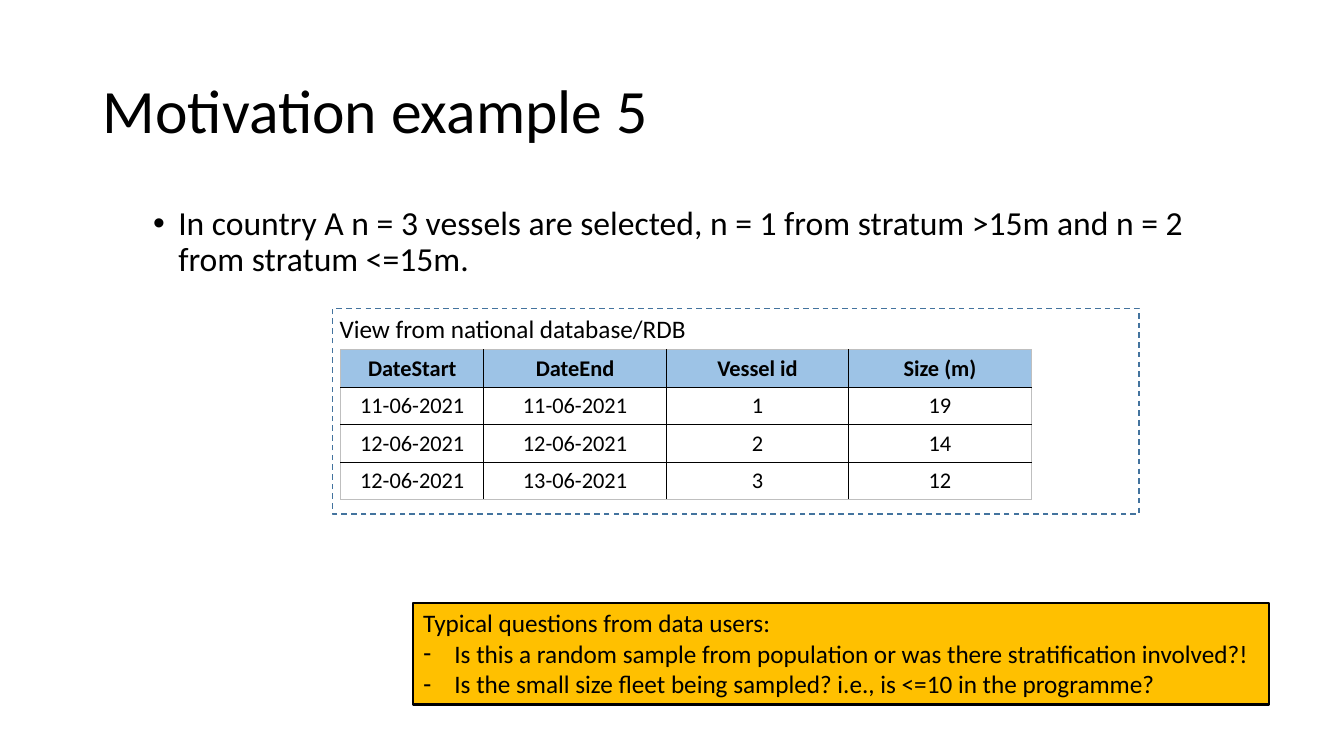
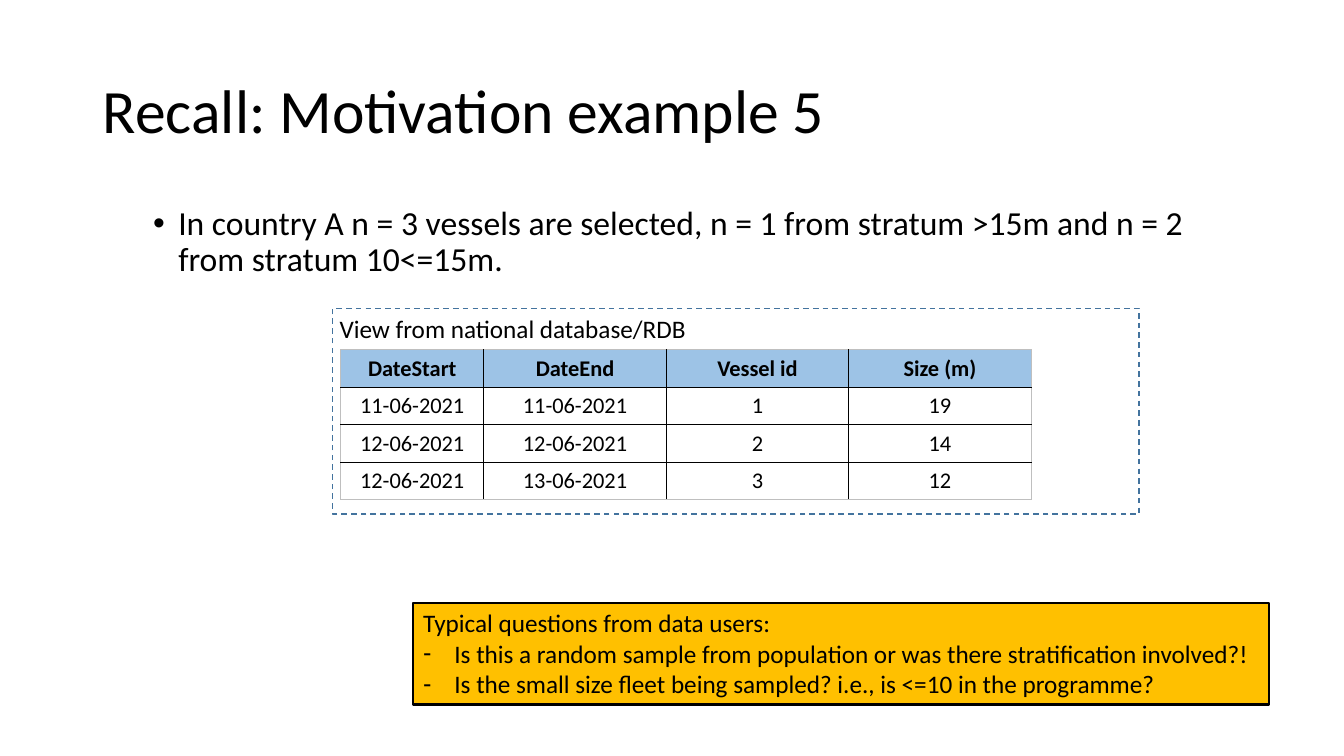
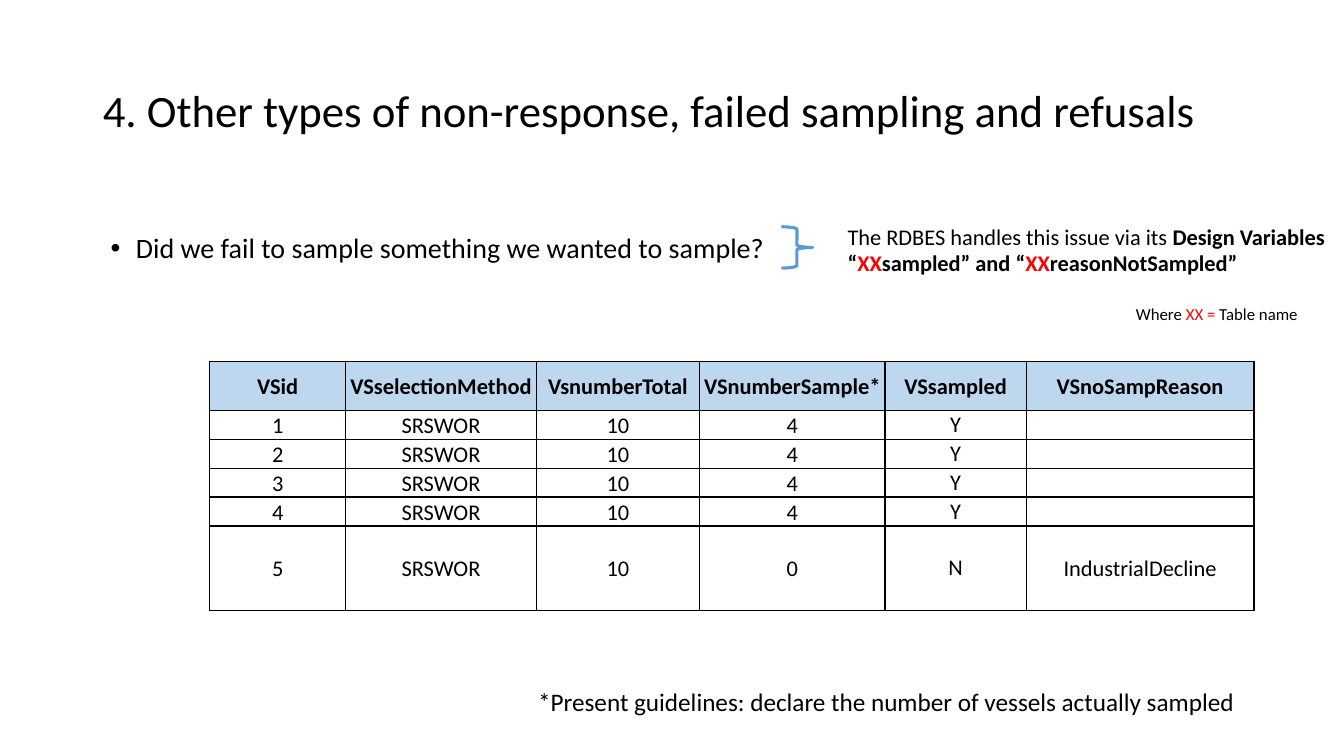
from dataclasses import dataclass

from lxml.etree import SubElement
from pptx import Presentation
from pptx.dml.color import RGBColor
from pptx.enum.dml import MSO_LINE
from pptx.enum.shapes import MSO_SHAPE
from pptx.enum.text import MSO_ANCHOR, PP_ALIGN
from pptx.oxml.ns import qn
from pptx.util import Inches, Pt

SLIDE_WIDTH, SLIDE_HEIGHT = Inches(13.33), Inches(7.5)
FONT = "Calibri"
BLACK, RED, GREY = "000000", "FF0000", "BFBFBF"
AMBER, BRACE_BLUE, FRAME_BLUE = "FFC000", "5B9BD5", "43739E"


@dataclass(frozen=True)
class Box:
    """A place on the slide, in percent of the slide's width and height."""
    left: float
    top: float
    width: float
    height: float

    def emu(self) -> tuple:
        return across(self.left), down(self.top), across(self.width), down(self.height)


@dataclass(frozen=True)
class Piece:
    text: str
    color: str = BLACK
    bold: bool = False


@dataclass(frozen=True)
class Line:
    pieces: tuple[Piece, ...]
    size: float
    bullet: str = ""
    indent: float = 0
    hang: float = 0
    spacing: float = 1.0


@dataclass(frozen=True)
class Grid:
    """A table: its place, its column and row shares, and its look."""
    left: float
    top: float
    columns: tuple[float, ...]
    rows: tuple[float, ...]
    header_fill: str
    edge: str
    margins: tuple[float, float]
    anchor: MSO_ANCHOR
    spacing: tuple[float, ...]


TITLE_BOX = Box(6.9, 5.33, 86.25, 19.33)
VESSEL_GRID = Grid(25.35, 46.27, (10.65,) + (13.58,) * 3, (4.96,) * 4,
                   "9DC3E6", GREY, (0.1, 0.05), MSO_ANCHOR.TOP, (1.0,) * 4)
SAMPLING_GRID = Grid(15.6, 47.87, (10.13, 14.18, 12.15, 13.8, 10.5, 16.95),
                     (6.4,) + (3.83,) * 4 + (11.2,), "BDD7EE", BLACK, (0.03, 0),
                     MSO_ANCHOR.MIDDLE, (1.07,) * 4 + (1.0, 1.07))

VESSELS = (
    ("DateStart", "DateEnd", "Vessel id", "Size (m)"),
    ("11-06-2021", "11-06-2021", "1", "19"),
    ("12-06-2021", "12-06-2021", "2", "14"),
    ("12-06-2021", "13-06-2021", "3", "12"),
)
SAMPLING = (
    ("VSid", "VSselectionMethod", "VsnumberTotal", "VSnumberSample*",
     "VSsampled", "VSnoSampReason"),
    *((str(vessel), "SRSWOR", "10", "4", "Y", "") for vessel in range(1, 5)),
    ("5", "SRSWOR", "10", "0", "N", "IndustrialDecline"),
)
QUESTIONS = (
    "Is this a random sample from population or was there stratification involved?!",
    "Is the small size fleet being sampled? i.e., is <=10 in the programme?",
)


def across(share: float) -> int:
    return round(SLIDE_WIDTH * share / 100)


def down(share: float) -> int:
    return round(SLIDE_HEIGHT * share / 100)


def rgb(color: str) -> RGBColor:
    return RGBColor.from_string(color)


def plain(text: str, size: float, **layout) -> Line:
    return Line((Piece(text),), size, **layout)


def write_line(paragraph, line: Line) -> None:
    paragraph.line_spacing = line.spacing
    paragraph.alignment = PP_ALIGN.LEFT
    if line.bullet:
        properties = paragraph._p.get_or_add_pPr()
        properties.set("marL", str(Inches(line.indent)))
        properties.set("indent", str(-Inches(line.hang)))
        SubElement(properties, qn("a:buFont"), typeface="Arial")
        SubElement(properties, qn("a:buChar"), char=line.bullet)
    paragraph.font.name = FONT
    paragraph.font.size = Pt(line.size)
    colors = {piece.color for piece in line.pieces}
    weights = {piece.bold for piece in line.pieces}
    if len(colors) == 1:
        paragraph.font.color.rgb = rgb(line.pieces[0].color)
    if len(weights) == 1:
        paragraph.font.bold = line.pieces[0].bold
    for piece in line.pieces:
        run = paragraph.add_run()
        run.text = piece.text
        if len(colors) > 1:
            run.font.color.rgb = rgb(piece.color)
        if len(weights) > 1:
            run.font.bold = piece.bold


def fill_frame(frame, lines: list[Line], anchor: MSO_ANCHOR = MSO_ANCHOR.TOP) -> None:
    frame.word_wrap = True
    frame.vertical_anchor = anchor
    for index, line in enumerate(lines):
        write_line(frame.add_paragraph() if index else frame.paragraphs[0], line)


def add_titled_slide(deck, title: str, size: float = 44):
    slide = deck.slides.add_slide(deck.slide_layouts[5])
    heading = slide.shapes.title
    heading.left, heading.top, heading.width, heading.height = TITLE_BOX.emu()
    fill_frame(heading.text_frame, [plain(title, size, spacing=0.9)], MSO_ANCHOR.MIDDLE)
    return slide


def add_text(slide, box: Box, *lines: Line) -> None:
    fill_frame(slide.shapes.add_textbox(*box.emu()).text_frame, list(lines))


def add_outlined(slide, kind: MSO_SHAPE, box: Box, color: str, width: float, fill: str = ""):
    shape = slide.shapes.add_shape(kind, *box.emu())
    shape.shadow.inherit = False
    shape.line.color.rgb = rgb(color)
    shape.line.width = Pt(width)
    if fill:
        shape.fill.solid()
        shape.fill.fore_color.rgb = rgb(fill)
    else:
        shape.fill.background()
    return shape


def border_cell(cell, colors: dict[str, str]) -> None:
    properties = cell._tc.get_or_add_tcPr()
    for side, color in colors.items():
        border = SubElement(properties, qn(f"a:ln{side}"), w=str(Pt(1)))
        SubElement(SubElement(border, qn("a:solidFill")), qn("a:srgbClr"), val=color)


def add_grid(slide, grid: Grid, records: tuple, size: float = 16) -> None:
    box = Box(grid.left, grid.top, sum(grid.columns), sum(grid.rows))
    table = slide.shapes.add_table(len(grid.rows), len(grid.columns), *box.emu()).table
    table.first_row = table.horz_banding = False
    for column, share in zip(table.columns, grid.columns):
        column.width = across(share)
    for row, share in zip(table.rows, grid.rows):
        row.height = down(share)
    last_row, last_column = len(grid.rows) - 1, len(grid.columns) - 1
    for r, record in enumerate(records):
        for c, text in enumerate(record):
            cell = table.cell(r, c)
            border_cell(cell, {
                "L": BLACK if c else grid.edge,
                "R": BLACK if c < last_column else grid.edge,
                "T": BLACK if r else grid.edge,
                "B": BLACK if r < last_row else grid.edge,
            })
            cell.margin_left = cell.margin_right = Inches(grid.margins[0])
            cell.margin_top = cell.margin_bottom = Inches(grid.margins[1])
            cell.vertical_anchor = grid.anchor
            if r:
                cell.fill.background()
            else:
                cell.fill.solid()
                cell.fill.fore_color.rgb = rgb(grid.header_fill)
            paragraph = cell.text_frame.paragraphs[0]
            if text:
                spacing = grid.spacing[c] if r else grid.spacing[0]
                write_line(paragraph, Line((Piece(text, bold=r == 0),), size, spacing=spacing))
                paragraph.alignment = PP_ALIGN.CENTER
            else:
                SubElement(paragraph._p, qn("a:endParaRPr"), sz=str(size * 100))


def add_vessel_example(deck, title: str, small_stratum: str) -> None:
    slide = add_titled_slide(deck, title)
    selection = ("In country A n = 3 vessels are selected, n = 1 from stratum >15m "
                 f"and n = 2 from stratum {small_stratum}.")
    add_text(slide, Box(6.9, 26.67, 86.25, 12),
             plain(selection, 24, bullet="•", indent=0.75, hang=0.25, spacing=0.9))
    add_grid(slide, VESSEL_GRID, VESSELS)
    questions = add_outlined(slide, MSO_SHAPE.RECTANGLE, Box(30.75, 79.73, 63.68, 13.47),
                             BLACK, 1.5, AMBER)
    fill_frame(questions.text_frame, [
        plain("Typical questions from data users:", 18),
        *(plain(question, 18, bullet="-", indent=0.31, hang=0.31) for question in QUESTIONS),
    ])
    add_text(slide, Box(24.53, 40.8, 61.13, 5.33), plain("View from national database/RDB", 18))
    database_frame = add_outlined(slide, MSO_SHAPE.RECTANGLE, Box(24.75, 40.8, 60, 27.2),
                                  FRAME_BLUE, 1)
    database_frame.line.dash_style = MSO_LINE.DASH


def add_non_response(deck) -> None:
    slide = add_titled_slide(
        deck, "4. Other types of non-response, failed sampling and refusals", 32)
    add_text(slide, Box(7.5, 30.4, 50.6, 5.33),
             plain("Did we fail to sample something we wanted to sample?", 20,
                   bullet="•", indent=0.25, hang=0.25, spacing=0.9))
    add_outlined(slide, MSO_SHAPE.RIGHT_BRACE, Box(58.13, 30, 2.33, 5.47), BRACE_BLUE, 2.25)
    add_text(slide, Box(62.33, 28.8, 37.67, 8.53),
             Line((Piece("The RDBES handles this issue via its "),
                   Piece("Design Variables", bold=True)), 16),
             Line((Piece("“", bold=True), Piece("XX", RED, True),
                   Piece("sampled” and “", bold=True), Piece("XX", RED, True),
                   Piece("reasonNotSampled”", bold=True)), 16))
    add_text(slide, Box(83.78, 39.47, 13.95, 4),
             Line((Piece("Where "), Piece("XX =", RED), Piece(" Table name")), 12))
    add_grid(slide, SAMPLING_GRID, SAMPLING)
    add_text(slide, Box(39.3, 90.13, 53.85, 5.33),
             plain("*Present guidelines: declare the number of vessels actually sampled", 18))


def main() -> None:
    deck = Presentation()
    deck.slide_width, deck.slide_height = SLIDE_WIDTH, SLIDE_HEIGHT
    add_vessel_example(deck, "Motivation example 5", "<=15m")
    add_vessel_example(deck, "Recall: Motivation example 5", "10<=15m")
    add_non_response(deck)
    deck.save("out.pptx")


if __name__ == "__main__":
    main()
